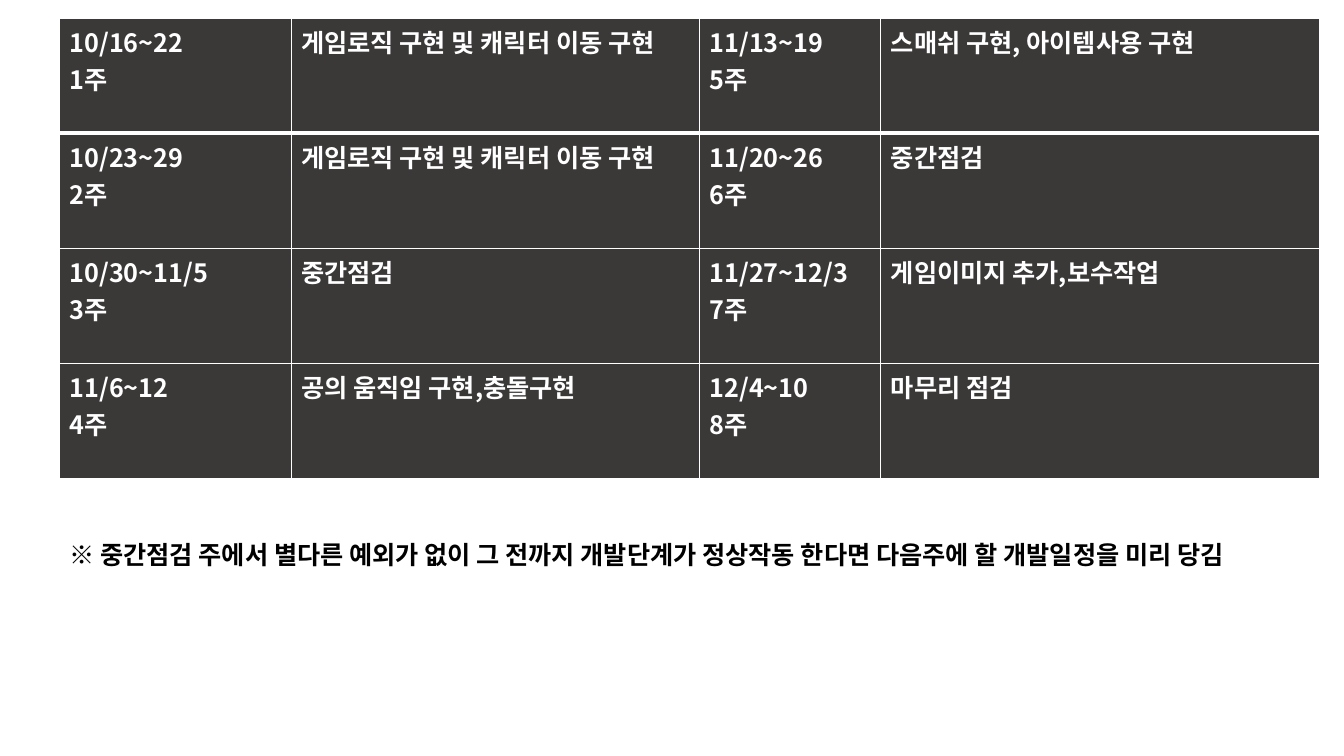
from lxml.etree import SubElement
from pptx import Presentation
from pptx.dml.color import RGBColor
from pptx.enum.text import MSO_AUTO_SIZE
from pptx.oxml.ns import qn
from pptx.util import Cm, Pt

FONT = "Noto Sans CJK KR"
WHITE, BLACK, DARK = "FFFFFF", "000000", "3B3838"
WIDTHS = [5.84, 10.29, 4.57, 11.05]
HEIGHT = 2.9
WEEKS = [
    ("10/16~22", "게임로직 구현 및 캐릭터 이동 구현"),
    ("10/23~29", "게임로직 구현 및 캐릭터 이동 구현"),
    ("10/30~11/5", "중간점검"),
    ("11/6~12", "공의 움직임 구현,충돌구현"),
    ("11/13~19", "스매쉬 구현, 아이템사용 구현"),
    ("11/20~26", "중간점검"),
    ("11/27~12/3", "게임이미지 추가,보수작업"),
    ("12/4~10", "마무리 점검"),
]
NOTE = ("※ 중간점검 주에서 별다른 예외가 없이 그 전까지 개발단계가 "
        "정상작동 한다면 다음주에 할 개발일정을 미리 당김")


def color(code):
    """Turn a hex string into a colour."""
    return RGBColor.from_string(code)


def write(frame, text, ink):
    """Fill a text frame with bold 18 pt paragraphs."""
    frame.text = text
    for para in frame.paragraphs:
        font = para.font
        font.size, font.bold, font.name = Pt(18), True, FONT
        font.color.rgb = color(ink)
        props = para._p.pPr.find(qn("a:defRPr"))
        SubElement(props, qn("a:ea"), typeface=FONT)


def border(cell, side, width):
    """Draw one white border of a cell."""
    props = cell._tc.get_or_add_tcPr()
    line = SubElement(props, qn(f"a:ln{side}"), w=str(Pt(width)))
    fill = SubElement(line, qn("a:solidFill"))
    SubElement(fill, qn("a:srgbClr"), val=WHITE)


def style(cell, text, top, bottom):
    """Give a cell its borders, fill and text."""
    for side, width in zip("LRTB", (1, 1, top, bottom)):
        border(cell, side, width)
    cell.fill.solid()
    cell.fill.fore_color.rgb = color(DARK)
    write(cell.text_frame, text, WHITE)


def add_plan(slide):
    """Add the eight week plan, four weeks to each half."""
    rows = len(WEEKS) // 2
    frame = slide.shapes.add_table(rows, len(WIDTHS), Cm(1.5), Cm(0.46),
                                   Cm(sum(WIDTHS)), Cm(HEIGHT * rows))
    table = frame.table
    for column, width in zip(table.columns, WIDTHS):
        column.width = Cm(width)
    for index, (dates, task) in enumerate(WEEKS):
        half, row = divmod(index, rows)
        top = 3 if row == 1 else 1
        bottom = 3 if row == 0 else 1
        for shift, text in enumerate((f"{dates}\n{index + 1}주", task)):
            style(table.cell(row, half * 2 + shift), text, top, bottom)


def add_note(slide):
    """Add the remark under the plan."""
    box = slide.shapes.add_textbox(Cm(1.5), Cm(13.46), Cm(31.27), Cm(3.33))
    frame = box.text_frame
    frame.word_wrap = True
    frame.auto_size = MSO_AUTO_SIZE.SHAPE_TO_FIT_TEXT
    write(frame, NOTE, BLACK)


def main():
    """Build and save the slide."""
    deck = Presentation()
    deck.slide_width, deck.slide_height = Cm(33.87), Cm(19.05)
    slide = deck.slides.add_slide(deck.slide_layouts[6])
    add_plan(slide)
    add_note(slide)
    deck.save("out.pptx")


if __name__ == "__main__":
    main()
